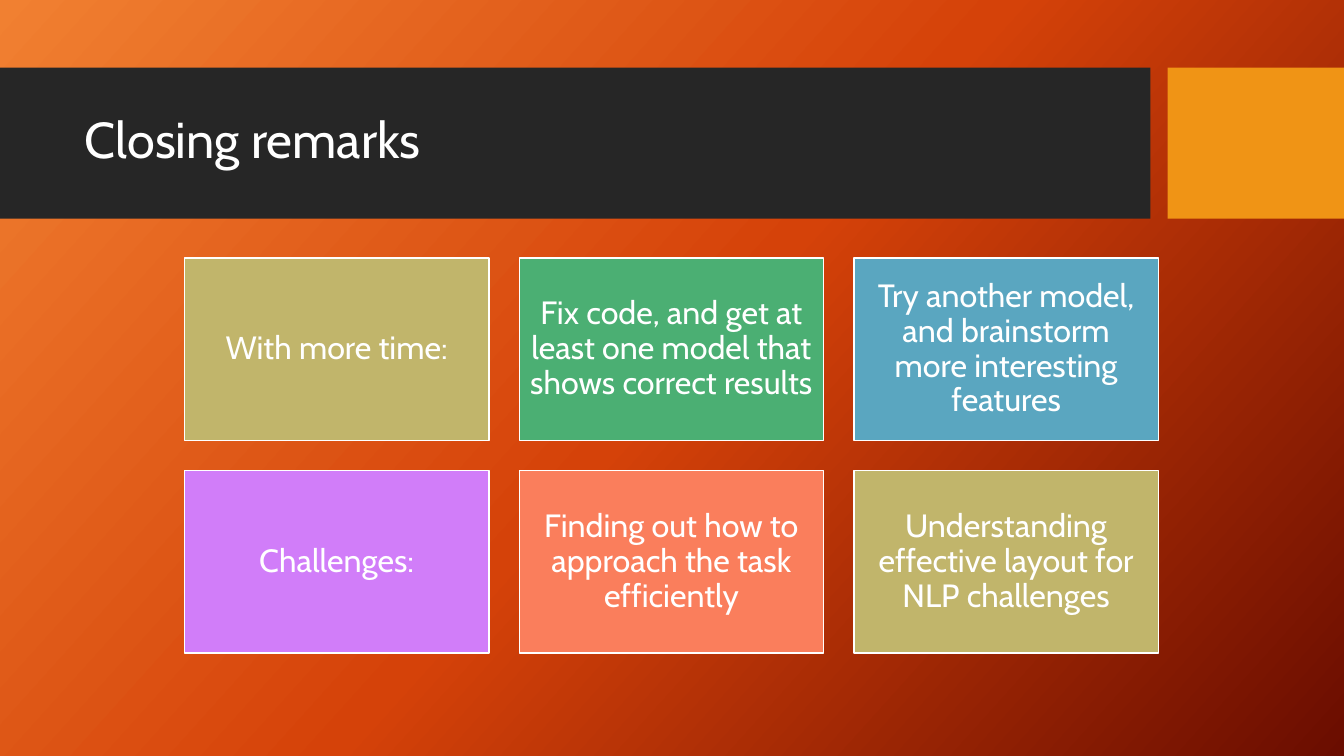
import copy

import pptx
import pptx.dml.color
import pptx.enum.shapes
import pptx.enum.text
import pptx.oxml.ns
import pptx.util

Inches = pptx.util.Inches
RGB = pptx.dml.color.RGBColor.from_string
ALIGN = pptx.enum.text.PP_ALIGN

THEME = {
    "font": "Cabin", "title_size": 36, "card_size": 23,
    "text": "FFFFFF", "band": "262626", "accent": "F09415",
    "backdrop": [(0, "F18031"), (0.5, "D54209"), (1, "6A0D00")],
    "khaki": "C1B56B", "green": "4BAF73", "blue": "5AA6C0",
    "violet": "D17DF9", "coral": "FA7E5C",
}


def add_box(left, top, width, height, color):
    box = slide.shapes.add_shape(
        pptx.enum.shapes.MSO_SHAPE.RECTANGLE,
        Inches(left), Inches(top), Inches(width), Inches(height))
    box.shadow.inherit = False
    box.fill.solid()
    box.fill.fore_color.rgb = RGB(THEME[color])
    box.line.fill.background()
    return box


def write(frame, text, size, align):
    frame.word_wrap = True
    frame.auto_size = pptx.enum.text.MSO_AUTO_SIZE.NONE
    frame.vertical_anchor = pptx.enum.text.MSO_ANCHOR.MIDDLE
    paragraph = frame.paragraphs[0]
    paragraph.alignment = align
    paragraph.line_spacing = 0.9
    run = paragraph.add_run()
    run.text = text
    run.font.name = THEME["font"]
    run.font.size = pptx.util.Pt(THEME[size])
    run.font.color.rgb = RGB(THEME["text"])


deck = pptx.Presentation()
deck.slide_width, deck.slide_height = Inches(13.33), Inches(7.5)
slide = deck.slides.add_slide(deck.slide_layouts[5])

# Three-stop gradient backdrop
backdrop = slide.background.fill
backdrop.gradient()
backdrop.gradient_angle = 360 - 42
stop_list = slide.element.find(".//" + pptx.oxml.ns.qn("a:gsLst"))
stop_list.append(copy.deepcopy(stop_list[0]))
for stop, (position, color) in zip(backdrop.gradient_stops, THEME["backdrop"]):
    stop.position = position
    stop.color.rgb = RGB(color)

# Header band and accent block, with the title in front
add_box(0, 0.67, 11.41, 1.5, "band")
add_box(11.58, 0.67, 1.75, 1.5, "accent")
title = slide.shapes.title
title.left, title.top = Inches(0.74), Inches(0.82)
title.width, title.height = Inches(10.51), Inches(1.18)
write(title.text_frame, "Closing remarks", "title_size", ALIGN.LEFT)
title.element.getparent().append(title.element)

# Cards: one row for each topic
CARD_WIDTH, CARD_HEIGHT, GAP = 3.02, 1.81, 0.3
GRID_LEFT, GRID_TOP = 1.83, 2.56
topics = [
    [("With more time:", "khaki"),
     ("Fix code, and get at least one model that shows correct results", "green"),
     ("Try another model, and brainstorm more interesting features", "blue")],
    [("Challenges:", "violet"),
     ("Finding out how to approach the task efficiently", "coral"),
     ("Understanding effective layout for NLP challenges", "khaki")],
]
for row, topic in enumerate(topics):
    for column, (remark, color) in enumerate(topic):
        card = add_box(GRID_LEFT + column * (CARD_WIDTH + GAP),
                       GRID_TOP + row * (CARD_HEIGHT + GAP),
                       CARD_WIDTH, CARD_HEIGHT, color)
        card.line.color.rgb = RGB(THEME["text"])
        card.line.width = pptx.util.Pt(1)
        write(card.text_frame, remark, "card_size", ALIGN.CENTER)

deck.save("out.pptx")
